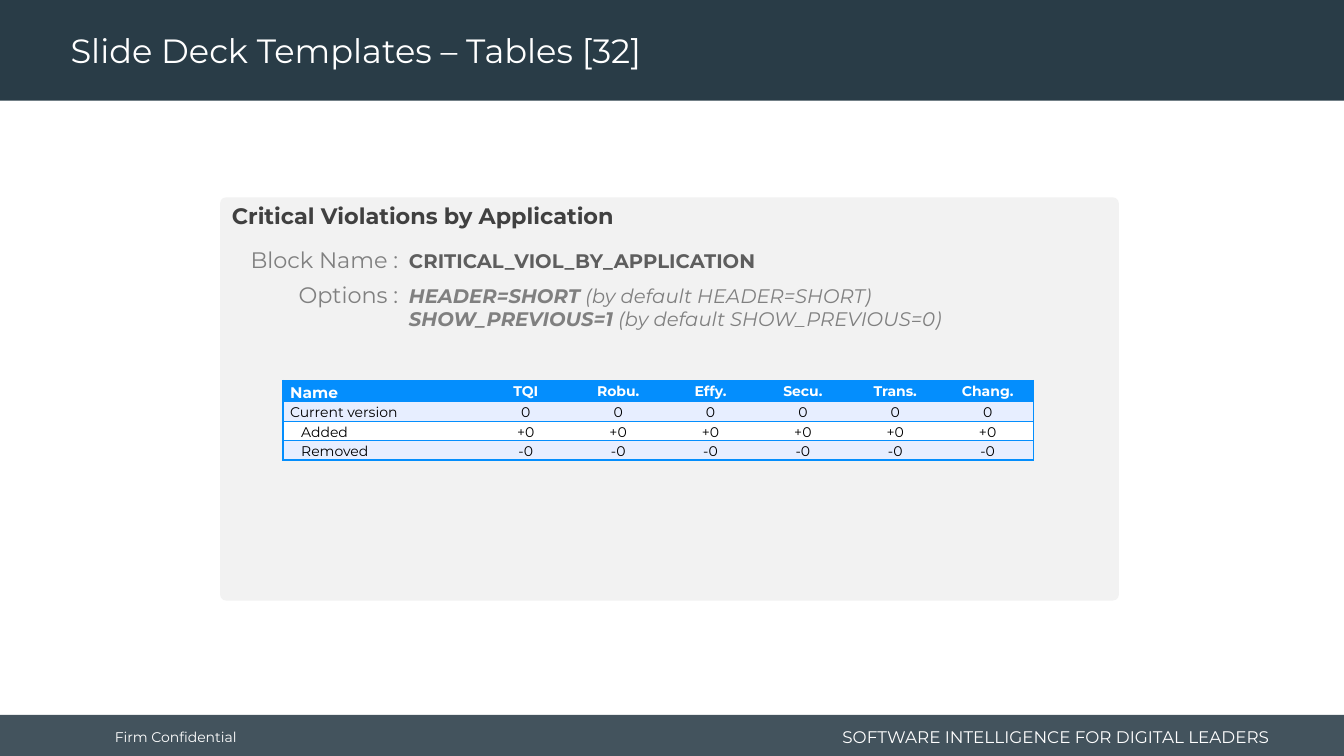
from collections import namedtuple

from lxml.etree import SubElement
from pptx import Presentation
from pptx.dml.color import RGBColor
from pptx.enum.shapes import MSO_SHAPE as Preset
from pptx.enum.text import MSO_ANCHOR as Anchor, PP_ALIGN as Align
from pptx.oxml.ns import qn
from pptx.util import Inches, Pt

FONT = "Montserrat"
NAVY, WHITE, BLUE, PALE = "293C47", "FFFFFF", "048EFD", "E7EEFF"
PANEL, GREY = "F2F2F2", "808080"
COLUMNS, ROWS = 160, 90
WIDTH, HEIGHT = Inches(13.33), Inches(7.5)

Box = namedtuple("Box", "left top width height")


def across(columns):
    return round(columns * WIDTH / COLUMNS)


def down(rows):
    return round(rows * HEIGHT / ROWS)


def place(box):
    return across(box.left), down(box.top), across(box.width), down(box.height)


def inside(box, left, top, width, height):
    """Box whose corner is given relative to another box."""
    return Box(box.left + left, box.top + top, width, height)


def color(value):
    return RGBColor.from_string(value)


def write(frame, text, size=14, ink=WHITE, bold=False, italic=False,
          align=Align.LEFT, spacing=None, anchor=Anchor.TOP, wrap=True):
    """Fill a text frame; text is a string or a list of paragraphs of (text, bold) runs."""
    frame.word_wrap = wrap
    frame.vertical_anchor = anchor
    lines = [[(text, bold)]] if isinstance(text, str) else text
    for index, line in enumerate(lines):
        paragraph = frame.add_paragraph() if index else frame.paragraphs[0]
        paragraph.alignment = align
        paragraph.line_spacing = spacing
        for words, heavy in line:
            run = paragraph.add_run()
            run.text = words
            font = run.font
            font.name, font.size = FONT, Pt(size)
            font.bold, font.italic = heavy, italic
            font.color.rgb = color(ink)


def add_text(slide, box, text, **style):
    shape = slide.shapes.add_textbox(*place(box))
    write(shape.text_frame, text, **style)
    return shape


def add_block(slide, box, fill, preset=Preset.RECTANGLE):
    shape = slide.shapes.add_shape(preset, *place(box))
    shape.shadow.inherit = False
    shape.fill.solid()
    shape.fill.fore_color.rgb = color(fill)
    shape.line.fill.background()
    return shape


def add_header(slide, box):
    add_block(slide, box, NAVY)
    title = slide.shapes.title
    title.left, title.top, title.width, title.height = place(
        inside(box, 7.2, 0.5, 115, box.height - 0.5))
    write(title.text_frame, "Slide Deck Templates – Tables [32]",
          size=24, spacing=0.9, anchor=Anchor.MIDDLE)
    slide.shapes._spTree.append(title._element)


def add_footer(slide, box):
    bar = add_block(slide, box, NAVY)
    tint = bar._element.spPr.find(qn("a:solidFill"))[0]
    SubElement(tint, qn("a:alpha"), val="88000")
    add_text(slide, inside(box, 12.5, 0.2, 17.8, 4.8), "Firm Confidential",
             size=10, anchor=Anchor.MIDDLE, wrap=False)
    add_text(slide, inside(box, 97.3, 0.7, 55, 3.9),
             "SOFTWARE INTELLIGENCE FOR DIGITAL LEADERS",
             size=12, align=Align.RIGHT, anchor=Anchor.MIDDLE)


def add_border(cell, side, shown):
    line = SubElement(cell._tc.get_or_add_tcPr(), qn(f"a:ln{side}"), w=str(Pt(1)))
    if shown:
        fill = SubElement(line, qn("a:solidFill"))
        SubElement(fill, qn("a:srgbClr"), val=BLUE)
    else:
        SubElement(line, qn("a:noFill"))


def add_violations_table(slide, box):
    metrics = ["TQI", "Robu.", "Effy.", "Secu.", "Trans.", "Chang."]
    records = [["Name", *metrics]] + [
        [name] + [value] * len(metrics)
        for name, value in [("Current version", "0"), ("Added", "+0"), ("Removed", "-0")]]
    last = len(metrics)
    table = slide.shapes.add_table(len(records), last + 1, *place(box)).table
    table.horz_banding = False
    metric_width = 11
    for index, column in enumerate(table.columns):
        column.width = across(metric_width if index else box.width - last * metric_width)
    for row, record in enumerate(records):
        table.rows[row].height = down(2.16 if row else 2.28)
        for column, text in enumerate(record):
            cell = table.cell(row, column)
            for side, shown in (("L", column == 0), ("R", column == last),
                                ("T", True), ("B", True)):
                add_border(cell, side, shown)
            cell.fill.solid()
            cell.fill.fore_color.rgb = color((PALE if row % 2 else WHITE) if row else BLUE)
            nested = column == 0 and row > 1
            cell.margin_left = Inches(0.18 if nested else 0.07)
            cell.margin_right = Inches(0.07)
            cell.margin_top = cell.margin_bottom = 0
            write(cell.text_frame, text, size=11 if row == column == 0 else 10,
                  ink="000000" if row else WHITE, bold=row == 0, spacing=1.15,
                  align=Align.CENTER if column else Align.LEFT)


def add_panel(slide, box):
    panel = add_block(slide, box, PANEL, Preset.ROUNDED_RECTANGLE)
    panel.adjustments[0] = 0.015
    heading = add_text(slide, inside(box, -1, 0, box.width, 4.4),
                       "Critical Violations by Application",
                       size=16, ink="404040", bold=True)
    heading.text_frame.margin_left = heading.text_frame.margin_right = Inches(0.2)

    for top, label in ((5.2, "Block Name :"), (9.4, "Options :")):
        add_text(slide, inside(box, 0, top, 22.4, 4.4), label,
                 size=16, ink=GREY, align=Align.RIGHT)
    add_text(slide, inside(box, 21.3, 5.5, 85, 4.1), "CRITICAL_VIOL_BY_APPLICATION",
             ink="5E5E5E", bold=True)
    add_text(slide, inside(box, 21.3, 9.7, 85, 6.8),
             [[("HEADER=SHORT", True), (" (by default HEADER=SHORT)", False)],
              [("SHOW_PREVIOUS=1", True), (" (by default SHOW_PREVIOUS=0)", False)]],
             ink=GREY, italic=True)
    add_violations_table(slide, inside(box, 7.5, 21.8, 89.4, 8.76))


def main():
    presentation = Presentation()
    presentation.slide_width, presentation.slide_height = WIDTH, HEIGHT
    title_only = presentation.slide_layouts[5]
    slide = presentation.slides.add_slide(title_only)
    add_header(slide, Box(0, 0, COLUMNS, 12))
    add_footer(slide, Box(0, 85.1, COLUMNS, 4.9))
    add_panel(slide, Box(26.2, 23.5, 107, 48))
    presentation.save("out.pptx")


if __name__ == "__main__":
    main()
